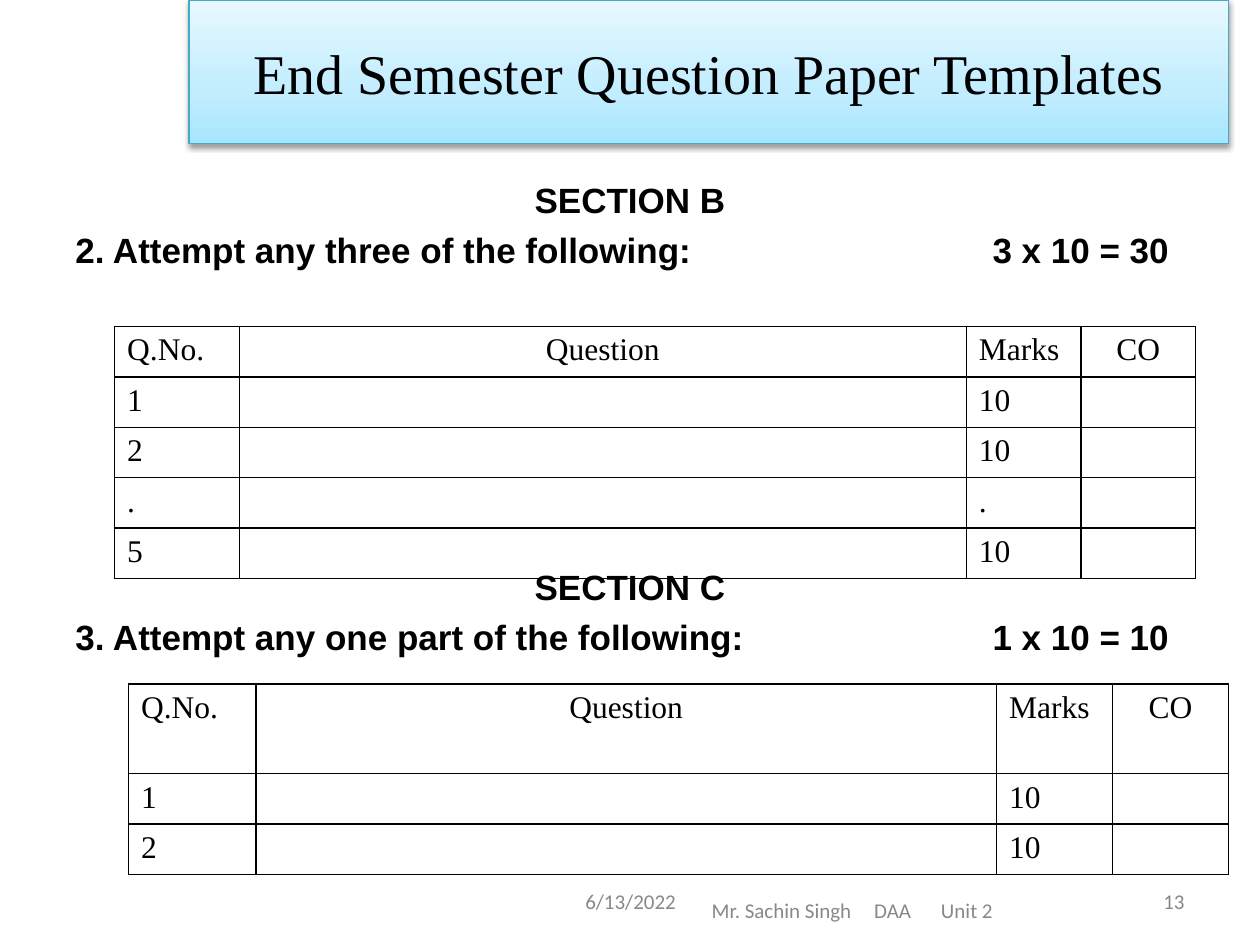
import pptx
import pptx.util
import pptx.dml.color
import pptx.enum.text
import pptx.oxml
import pptx.oxml.ns
import lxml.etree

Inches = pptx.util.Inches
Pt = pptx.util.Pt
RGBColor = pptx.dml.color.RGBColor
ALIGN = pptx.enum.text.PP_ALIGN
ANCHOR = pptx.enum.text.MSO_ANCHOR

BLACK = RGBColor(0x00, 0x00, 0x00)
WHITE = RGBColor(0xFF, 0xFF, 0xFF)
GREY = RGBColor(0x88, 0x88, 0x88)
BANNER_EDGE = RGBColor(0x46, 0xAA, 0xC5)
BANNER_STOPS = [
    (0, RGBColor(0xA7, 0xE6, 0xFF)),
    (35, RGBColor(0xC1, 0xED, 0xFF)),
    (100, RGBColor(0xE7, 0xF8, 0xFF)),
]
SERIF = "Times New Roman"
HEADER = ["Q.No.", "Question", "Marks", "CO"]
SECTION_B_ROWS = [("1", "10"), ("2", "10"), (".", "."), ("5", "10")]
SECTION_C_ROWS = [("1", "10"), ("2", "10")]


def add_xml(parent, markup):
    """Append an element written with the a: prefix."""
    tag_end = min(i for i in (markup.find(" "), markup.find(">")) if i > 0)
    namespace = " " + pptx.oxml.ns.nsdecls("a")
    parent.append(pptx.oxml.parse_xml(markup[:tag_end] + namespace + markup[tag_end:]))


def write(paragraph, text, size=18, font=SERIF, color=BLACK, bold=False,
          align=ALIGN.LEFT, before=0, tabs=()):
    """Fill one paragraph; tabs are (inches, alignment) pairs."""
    if tabs:
        stops = "".join(f'<a:tab pos="{Inches(pos)}" algn="{side}"/>' for pos, side in tabs)
        add_xml(paragraph._p.get_or_add_pPr(), f"<a:tabLst>{stops}</a:tabLst>")
    paragraph.text = text
    paragraph.alignment = align
    paragraph.space_before = Pt(before)
    paragraph.font.size = Pt(size)
    paragraph.font.name = font
    paragraph.font.bold = bold
    paragraph.font.color.rgb = color


def add_box(slide, left, top, width, height, anchor=ANCHOR.TOP):
    frame = slide.shapes.add_textbox(
        Inches(left), Inches(top), Inches(width), Inches(height)).text_frame
    frame.word_wrap = True
    frame.vertical_anchor = anchor
    return frame


def add_banner(slide, text):
    banner = slide.shapes.title
    banner.left, banner.top = Inches(1.5), Inches(0)
    banner.width, banner.height = Inches(8.25), Inches(1.14)
    banner.text_frame.vertical_anchor = ANCHOR.MIDDLE
    write(banner.text_frame.paragraphs[0], text, size=32, align=ALIGN.CENTER)

    # Three-stop gradient, edge and soft shadow
    properties = banner._element.spPr
    stops = "".join(f'<a:gs pos="{pos * 1000}"><a:srgbClr val="{color}"/></a:gs>'
                    for pos, color in BANNER_STOPS)
    add_xml(properties, f'<a:gradFill rotWithShape="1"><a:gsLst>{stops}</a:gsLst>'
                        '<a:lin ang="16200000" scaled="1"/></a:gradFill>')
    banner.line.color.rgb = BANNER_EDGE
    banner.line.width = Pt(0.75)
    add_xml(properties, f'<a:effectLst><a:outerShdw blurRad="{Pt(3.1)}" dist="{Pt(1.6)}" '
                        'dir="5400000" rotWithShape="0"><a:srgbClr val="000000">'
                        '<a:alpha val="38000"/></a:srgbClr></a:outerShdw></a:effectLst>')


def add_section_heading(slide, top, section, instruction, score):
    frame = add_box(slide, 0.5, top, 9, 0.85)
    style = dict(size=20, font="Arial", bold=True)
    write(frame.paragraphs[0], section, align=ALIGN.CENTER, **style)
    write(frame.add_paragraph(), f"{instruction}\t{score}", before=4.6,
          tabs=[(8.68, "r")], **style)


def format_cell(cell, text, align):
    cell.fill.solid()
    cell.fill.fore_color.rgb = WHITE
    write(cell.text_frame.paragraphs[0], text, align=align)
    properties = cell._tc.get_or_add_tcPr()
    for index, side in enumerate(("lnL", "lnR", "lnT", "lnB")):
        add_xml(properties, f'<a:{side} w="{Pt(1)}"><a:solidFill><a:srgbClr val="{BLACK}"/>'
                            f'</a:solidFill></a:{side}>')
        # Borders come before the fill
        properties.insert(index, properties[-1])


def add_question_table(slide, left, top, widths, heights, questions):
    rows = [HEADER] + [[number, "", marks, ""] for number, marks in questions]
    table = slide.shapes.add_table(
        len(rows), len(widths), Inches(left), Inches(top),
        Inches(sum(widths)), Inches(sum(heights))).table
    table.first_row = table.horz_banding = False
    for column, width in zip(table.columns, widths):
        column.width = Inches(width)
    for r, (row, height) in enumerate(zip(rows, heights)):
        table.rows[r].height = Inches(height)
        for c, text in enumerate(row):
            centred = text in ("Question", "CO")
            format_cell(table.cell(r, c), text, ALIGN.CENTER if centred else ALIGN.LEFT)


def add_footer(slide, left, width, height, text, **style):
    frame = add_box(slide, left, 6.95, width, height, ANCHOR.MIDDLE)
    write(frame.paragraphs[0], text, size=12, font="Calibri", color=GREY, **style)


def main():
    deck = pptx.Presentation()
    deck.slide_width, deck.slide_height = Inches(10), Inches(7.5)
    slide = deck.slides.add_slide(deck.slide_layouts[5])

    add_banner(slide, "End Semester Question Paper Templates")

    # Section B
    add_section_heading(slide, 1.37, "SECTION B",
                        "2. Attempt any three of the following:", "3 x 10 = 30")
    add_question_table(slide, 0.91, 2.59, [0.99, 5.77, 0.91, 0.91],
                       [0.38] * 5, SECTION_B_ROWS)

    # Section C
    add_section_heading(slide, 4.44, "SECTION C",
                        "3. Attempt any one part of the following:", "1 x 10 = 10")
    add_question_table(slide, 1.02, 5.43, [1.01, 5.88, 0.92, 0.92],
                       [0.71, 0.4, 0.4], SECTION_C_ROWS)

    # Date, author line and page number
    add_footer(slide, 3.42, 3.17, 0.4, "6/13/2022", align=ALIGN.CENTER)
    add_footer(slide, 5.55, 2.46, 0.55, "Mr. Sachin Singh\tDAA\tUnit 2",
               tabs=[(1.29, "l"), (1.82, "l")])
    add_footer(slide, 7.17, 2.33, 0.4, "13", align=ALIGN.RIGHT)

    deck.save("out.pptx")


if __name__ == "__main__":
    main()
